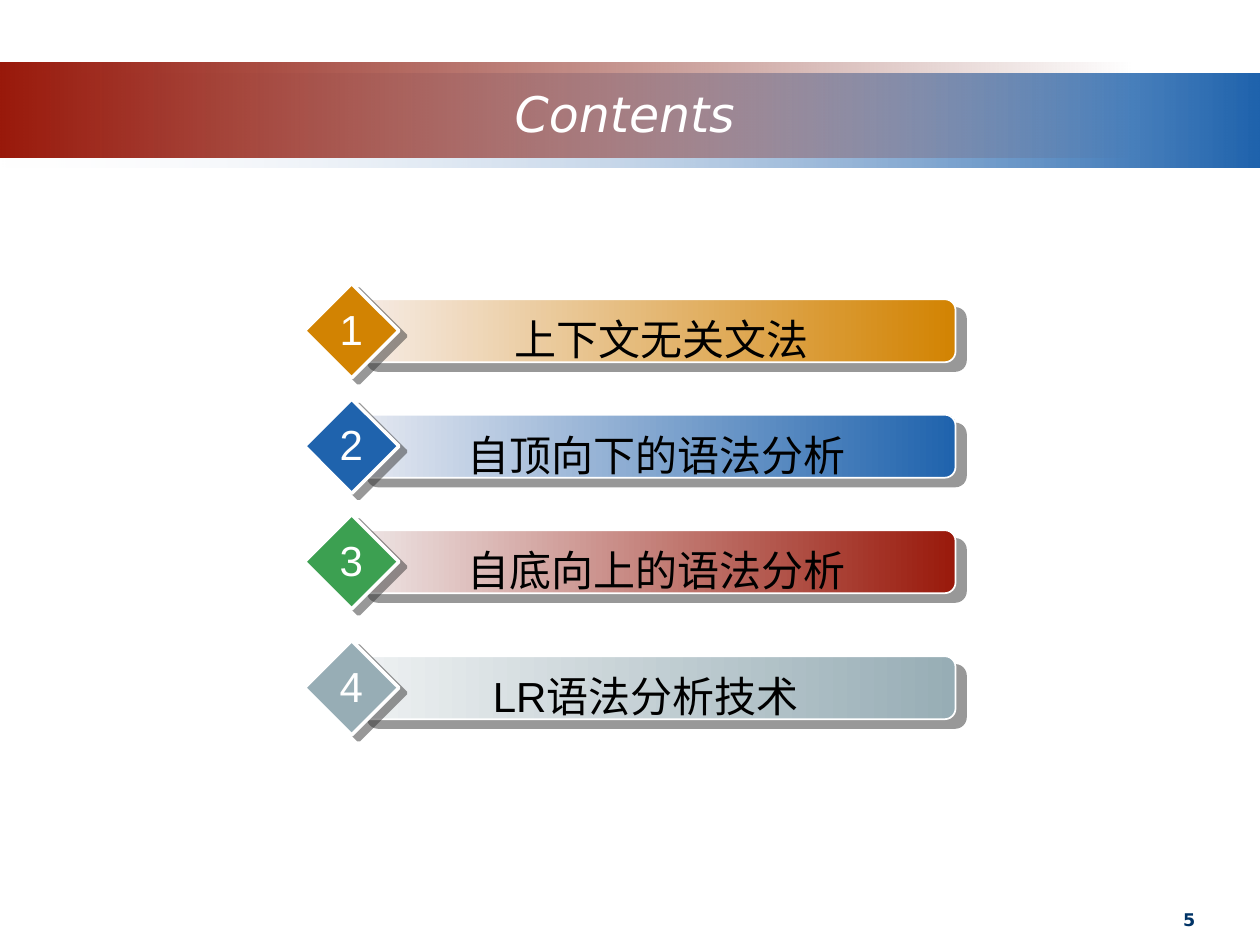
"""Build a contents slide with a gradient banner and four numbered bars."""
from lxml import etree
from pptx import Presentation
from pptx.dml.color import RGBColor
from pptx.enum.shapes import MSO_SHAPE
from pptx.enum.text import MSO_ANCHOR, MSO_AUTO_SIZE, PP_ALIGN
from pptx.oxml.ns import qn
from pptx.util import Inches, Pt

RECT, BAR, DIAMOND = MSO_SHAPE.RECTANGLE, MSO_SHAPE.ROUNDED_RECTANGLE, MSO_SHAPE.DIAMOND
MIDDLE, TOP = MSO_ANCHOR.MIDDLE, MSO_ANCHOR.TOP
CENTER, RIGHT = PP_ALIGN.CENTER, PP_ALIGN.RIGHT
FIT, FIXED = MSO_AUTO_SIZE.SHAPE_TO_FIT_TEXT, MSO_AUTO_SIZE.NONE

COLORS = {
    "white": "FFFFFF", "black": "000000", "navy": "003366", "shadow": "333333",
    "orange": "D28302", "blue": "1F63AD", "red": "99190B", "green": "3CA051", "grey": "97ADB5",
    "pale orange": "F6ECE6", "pale blue": "E6E9F1", "pale red": "EEE6E6", "pale grey": "EEF1F2",
    "mist": "F1F2F7", "dark red": "6D1208",
}

prs = Presentation()
prs.slide_width, prs.slide_height = Inches(10), Inches(7.5)
UNIT = prs.slide_width / 120
slide = prs.slides.add_slide(prs.slide_layouts[5])


def add_block(shapes, preset, box, colors, outline=0, shadow=None, clear_stop=None):
    block = shapes.add_shape(preset, *[round(n * UNIT) for n in box])
    rgbs = [RGBColor.from_string(COLORS[name]) for name in colors]
    if len(rgbs) == 1:
        block.fill.solid()
        block.fill.fore_color.rgb = rgbs[0]
    else:
        block.fill.gradient()
        block.fill.gradient_angle = 0
        for stop, rgb in zip(block.fill.gradient_stops, rgbs):
            stop.color.rgb = rgb
    if clear_stop is not None:
        stop_color = list(block._element.spPr.iter(qn("a:srgbClr")))[clear_stop]
        etree.SubElement(stop_color, qn("a:alpha"), val="0")
    if outline:
        block.line.color.rgb = RGBColor.from_string(COLORS["white"])
        block.line.width = Pt(outline)
    else:
        block.line.fill.background()
    block.shadow.inherit = False
    if shadow:
        distance, angle = shadow
        effects = block._element.spPr.find(qn("a:effectLst"))
        outer = etree.SubElement(effects, qn("a:outerShdw"), blurRad="0", dist=str(Pt(distance)),
                                 dir=str(angle * 60000), algn="ctr", rotWithShape="0")
        tint = etree.SubElement(outer, qn("a:srgbClr"), val=COLORS["shadow"])
        etree.SubElement(tint, qn("a:alpha"), val="50000")
    return block


def write(holder, text, size, font, color, align=CENTER, anchor=TOP, fit=FIT, wrap=True):
    frame = holder.text_frame
    frame.text = text
    frame.word_wrap, frame.auto_size, frame.vertical_anchor = wrap, fit, anchor
    frame.paragraphs[0].alignment = align
    run_font = frame.paragraphs[0].runs[0].font
    run_font.size, run_font.name = Pt(size), font
    run_font.color.rgb = RGBColor.from_string(COLORS[color])
    return run_font


add_block(slide.shapes, RECT, (0, 7, 120, 9), ("mist", "blue"), clear_stop=0)
add_block(slide.shapes, RECT, (0, 6, 108, 9), ("red", "dark red"), clear_stop=1)

page = slide.shapes.add_textbox(*[round(n * UNIT) for n in (87, 86, 28, 3.4)])
write(page, "5", 10, "DejaVu Sans", "navy", align=RIGHT, fit=FIXED).bold = True

title = slide.shapes.title
title.left, title.top, title.width, title.height = [round(n * UNIT) for n in (11, 7, 97, 7.5)]
write(title, "Contents", 28, "DejaVu Sans", "white", anchor=MIDDLE, fit=FIXED).italic = True
slide.shapes._spTree.append(title._element)

topics = [
    ("上下文无关文法", 27, 52, "pale orange", "orange", "orange"),
    ("自顶向下的语法分析", 38, 51, "pale blue", "blue", "blue"),
    ("自底向上的语法分析", 49, 51, "pale red", "red", "green"),
    ("LR语法分析技术", 61, 49, "pale grey", "grey", "grey"),
]
for number, (topic, row, label_width, pale, strong, marker) in enumerate(topics, 1):
    shapes = slide.shapes.add_group_shape().shapes
    bar = add_block(shapes, BAR, (34, row + 1.5, 57, 6), (pale, strong), 1, (7.8, 40))
    bar.adjustments[0] = 0.17
    add_block(shapes, DIAMOND, (29, row, 9, 9), (marker,), 2, (5, 37))
    label = shapes.add_textbox(*[round(n * UNIT) for n in (37, row + 2.3, label_width, 6)])
    write(label, topic, 24, "Arial", "black")
    digit = shapes.add_textbox(*[round(n * UNIT) for n in (31.1, row + 1.3, 4.7, 6)])
    write(digit, str(number), 24, "Arial", "white", wrap=False)

prs.save("out.pptx")
